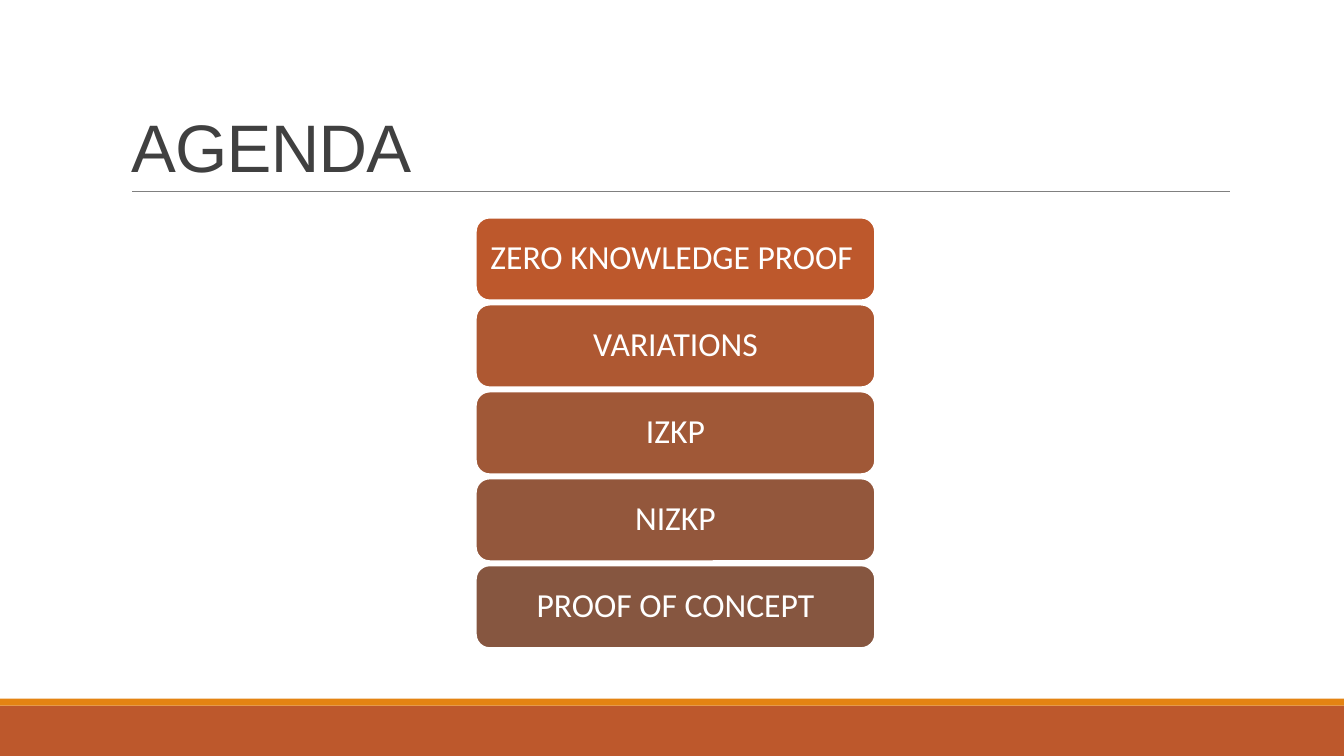
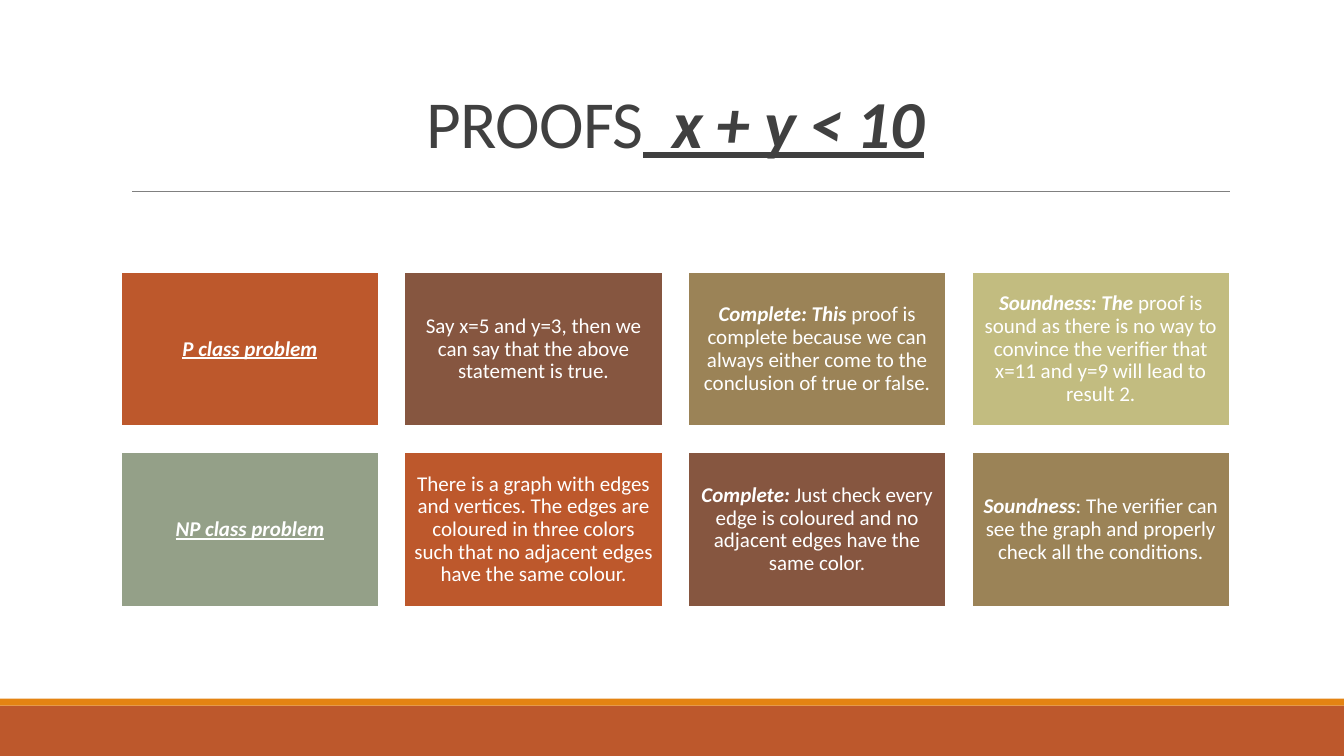
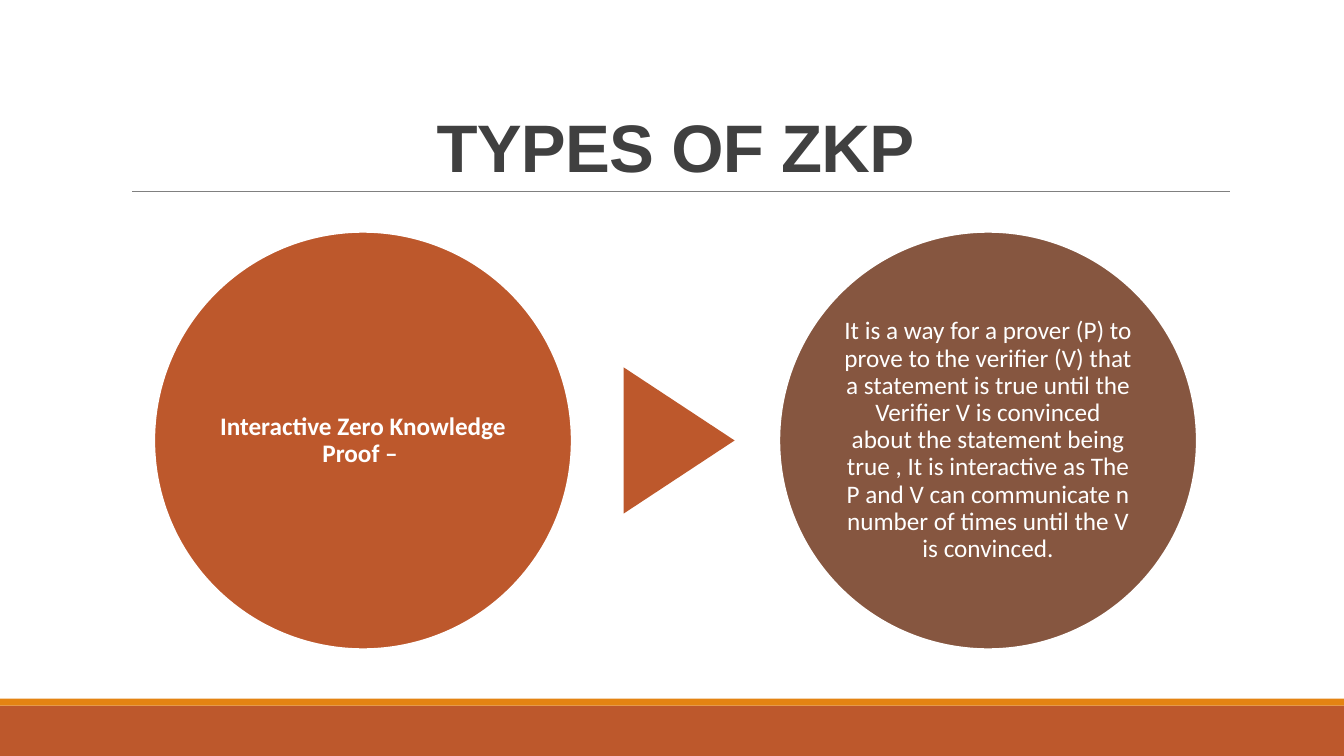
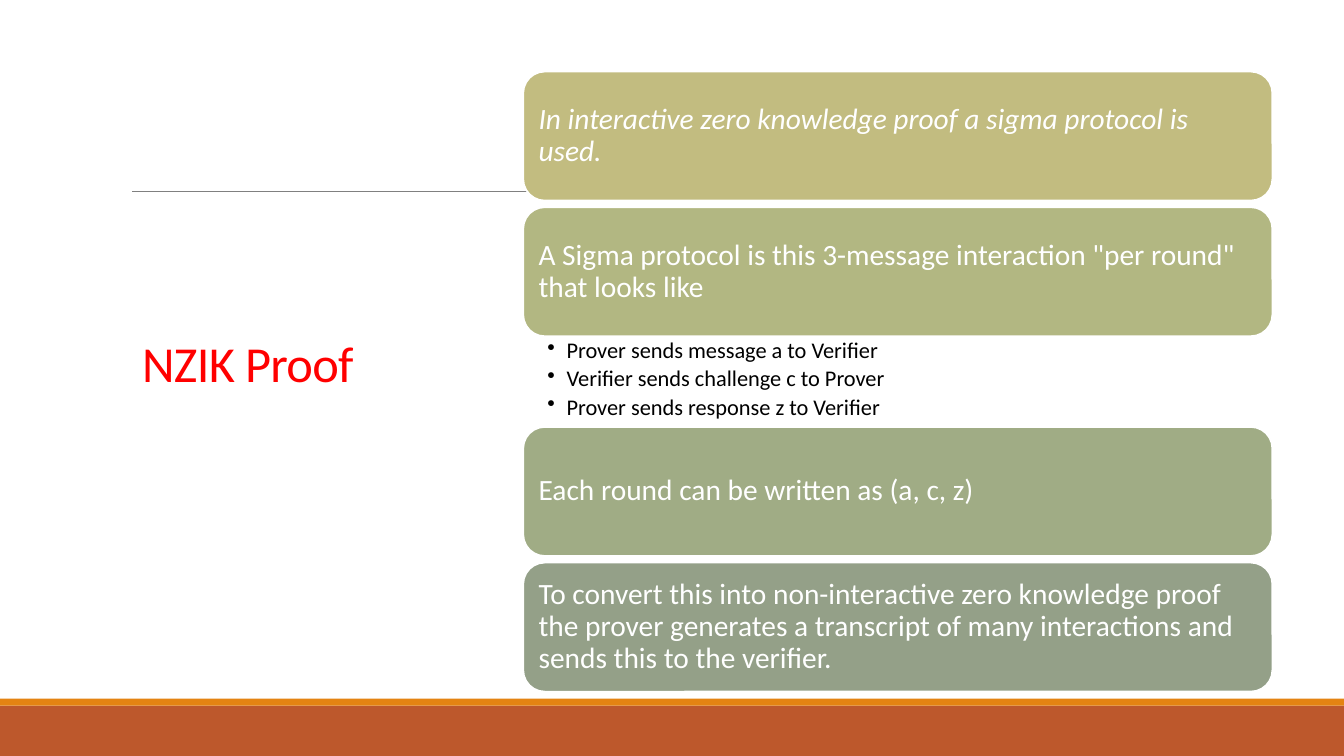
from dataclasses import dataclass
from itertools import cycle

from lxml.etree import SubElement
from pptx import Presentation
from pptx.dml.color import RGBColor
from pptx.enum.shapes import MSO_CONNECTOR, MSO_SHAPE
from pptx.enum.text import MSO_ANCHOR, MSO_AUTO_SIZE, PP_ALIGN
from pptx.oxml.ns import qn
from pptx.util import Inches, Pt


@dataclass(frozen=True)
class Theme:
    body: str = "Calibri"
    head: str = "Arial"
    white: str = "FFFFFF"
    black: str = "000000"
    ink: str = "404040"
    gray: str = "808080"
    red: str = "FF0000"
    rust: str = "BD582C"
    gold: str = "E48312"
    brown: str = "865640"
    tan: str = "9B8357"
    sand: str = "C2BC80"
    sage: str = "94A088"
    warm: tuple = ("BD582C", "AE5832", "A05837", "93573C", "865640")
    cool: tuple = ("C2BC80", "B2B782", "A0AC85", "94A088")
    big: int = 48
    side: int = 36
    step: int = 24
    card: int = 21
    disc: int = 18
    list: int = 16
    cell: int = 15


theme = Theme()
deck = Presentation()
deck.slide_width, deck.slide_height = Inches(13.33), Inches(7.5)
col, row = deck.slide_width / 100, deck.slide_height / 100
left, mid = PP_ALIGN.LEFT, PP_ALIGN.CENTER


def draw(slide, kind, box, fill, edge=True):
    x, y, w, h = box
    shape = slide.shapes.add_shape(kind, int(x * col), int(y * row), int(w * col), int(h * row))
    shape.shadow.inherit = False
    shape.fill.solid()
    shape.fill.fore_color.rgb = RGBColor.from_string(fill)
    if edge:
        shape.line.color.rgb = RGBColor.from_string(theme.white)
        shape.line.width = Pt(1.25)
    else:
        shape.line.fill.background()
    return shape


def write(shape, lines, size, hue=theme.white, font=theme.body, align=mid,
          pads=(0.1, 0.05, 0.1, 0.05), anchor=MSO_ANCHOR.MIDDLE, lead=0.9, after=0):
    frame = shape.text_frame
    frame.word_wrap = True
    frame.auto_size = MSO_AUTO_SIZE.NONE
    frame.vertical_anchor = anchor
    frame.margin_left, frame.margin_top, frame.margin_right, frame.margin_bottom = map(Inches, pads)
    for place, runs in enumerate(lines):
        para = frame.add_paragraph() if place else frame.paragraphs[0]
        para.alignment = align
        para.line_spacing = lead
        para.space_before = Pt(0)
        para.space_after = Pt(after)
        for text, style in runs:
            run = para.add_run()
            run.text = text
            run.font.name = font
            run.font.size = Pt(size)
            run.font.color.rgb = RGBColor.from_string(hue)
            run.font.bold = "b" in style
            run.font.italic = "i" in style
            run.font.underline = "u" in style


plain = deck.slide_layouts[5]
spot = plain.placeholders[0]
spot.left, spot.top = int(9 * col), int(4.13 * row)
spot.width, spot.height = int(82.5 * col), int(21.2 * row)

heads = [
    ([("AGENDA", "")], theme.big, theme.ink, theme.head, left, MSO_ANCHOR.BOTTOM, None),
    ([("PROOFS", ""), ("  x + y < 10", "biu")],
     theme.big, theme.ink, theme.body, mid, MSO_ANCHOR.BOTTOM, (9, 4.13, 82.5, 18)),
    ([("TYPES OF ZKP", "b")], theme.big, theme.ink, theme.head, mid, MSO_ANCHOR.BOTTOM, None),
    ([("NZIK Proof", "")],
     theme.side, theme.red, theme.body, left, MSO_ANCHOR.MIDDLE, (9.83, 6.53, 29.1, 84.13)),
]
slides = []
for runs, size, hue, font, align, anchor, box in heads:
    slide = deck.slides.add_slide(plain)
    title = slide.shapes.title
    if box:
        x, y, w, h = box
        title.left, title.top = int(x * col), int(y * row)
        title.width, title.height = int(w * col), int(h * row)
    write(title, [runs], size, hue, font, align, anchor=anchor, lead=0.85)
    for mark in title.element.iter(qn("a:rPr")):
        mark.set("spc", "-50")
    slides.append(slide)
plan, proofs, types, sigma = slides

base = draw(plan, MSO_SHAPE.RECTANGLE, (0, 93.33, 100, 6.67), theme.rust, False)
strip = draw(plan, MSO_SHAPE.RECTANGLE, (0, 92.4, 100, 0.93), theme.gold, False)
rule = plan.shapes.add_connector(
    MSO_CONNECTOR.STRAIGHT, int(9.83 * col), int(25.33 * row), int(91.55 * col), int(25.33 * row))
rule.line.color.rgb = RGBColor.from_string(theme.gray)
rule.line.width = Pt(0.5)
SubElement(rule.element.spPr, qn("a:effectLst"))
for tag, part in enumerate((base, strip, rule), 20):
    next(part.element.iter(qn("p:cNvPr"))).set("id", str(tag))
    plain.shapes.element.append(part.element)

steps = ["ZERO KNOWLEDGE PROOF ", "VARIATIONS", "IZKP", "NIZKP", "PROOF OF CONCEPT"]
for place, (text, fill) in enumerate(zip(steps, theme.warm)):
    box = (35.41, 28.8 + 11.5 * place, 29.7, 10.93)
    write(draw(plan, MSO_SHAPE.ROUNDED_RECTANGLE, box, fill), [[(text, "")]], theme.step)

cells = [
    [("P class problem", "biu")],
    [("Say x=5 and y=3, then we can say that the above statement is true.", "")],
    [("Complete: This", "bi"),
     (" proof is complete because we can always either come to the conclusion of true or false.", "")],
    [("Soundness: The", "bi"),
     (" proof is sound as there is no way to convince the verifier that x=11 and y=9 "
      "will lead to result 2.", "")],
    [("NP class problem", "biu")],
    [("There is a graph with edges and vertices. The edges are coloured in three colors "
      "such that no adjacent edges have the same colour.", "")],
    [("Complete: ", "bi"),
     ("Just check every edge is coloured and no adjacent edges have the same color.", "")],
    [("Soundness", "bi"),
     (": The verifier can see the graph and properly check all the conditions.", "")],
]
hues = cycle((theme.rust, theme.brown, theme.tan, theme.sand, theme.sage))
for place, (runs, fill) in enumerate(zip(cells, hues)):
    down, over = divmod(place, 4)
    box = (9 + 21.1 * over, 36 + 23.87 * down, 19.2, 20.4)
    write(draw(proofs, MSO_SHAPE.RECTANGLE, box, fill), [runs], theme.cell, pads=(0.06,) * 4)

discs = [
    (11.48, theme.rust, "Interactive Zero Knowledge Proof – ", "b"),
    (57.99, theme.brown,
     "It is a way for a prover (P) to prove to the verifier (V) that a statement is true until "
     "the Verifier V is convinced about the statement being true , It is interactive as The P and V "
     "can communicate n number of times until the V is convinced.", ""),
]
for x, fill, text, style in discs:
    disc = draw(types, MSO_SHAPE.OVAL, (x, 30.67, 31.06, 55.2), fill)
    write(disc, [[(text, style)]], theme.disc, pads=(0.03,) * 4)
wedge = draw(types, MSO_SHAPE.ISOSCELES_TRIANGLE, (45.09, 50.93, 10.88, 14.67), theme.rust, False)
wedge.rotation = 90

cards = [
    ("In interactive zero knowledge proof a sigma protocol is used.", "i", []),
    ('A Sigma protocol is this 3-message interaction "per round" that looks like', "",
     ["Prover sends message a to Verifier",
      "Verifier sends challenge c to Prover",
      "Prover sends response z to Verifier"]),
    ("Each round can be written as (a, c, z)", "", []),
    ("To convert this into non-interactive zero knowledge proof the prover generates a transcript "
     "of many interactions and sends this to the verifier.", "", []),
]
x, y, w, h = 38.93, 9.47, 55.74, 17.07
for (text, style, points), fill in zip(cards, theme.cool):
    card = draw(sigma, MSO_SHAPE.ROUNDED_RECTANGLE, (x, y, w, h), fill)
    write(card, [[(text, style)]], theme.card, align=left, pads=(0.09,) * 4)
    y += h
    if points:
        notes = sigma.shapes.add_textbox(int(x * col), int(y * row), int(w * col), int(12 * row))
        write(notes, [[(point, "")] for point in points], theme.list, theme.black, align=left,
              pads=(0.24, 0.03, 0.16, 0.03), anchor=MSO_ANCHOR.TOP, after=3)
        for props in notes.element.iter(qn("a:pPr")):
            props.set("marL", str(Inches(0.19)))
            props.set("indent", str(-Inches(0.19)))
            SubElement(props, qn("a:buChar")).set("char", "•")
        y += 12
    else:
        y += 0.87

deck.save("out.pptx")
